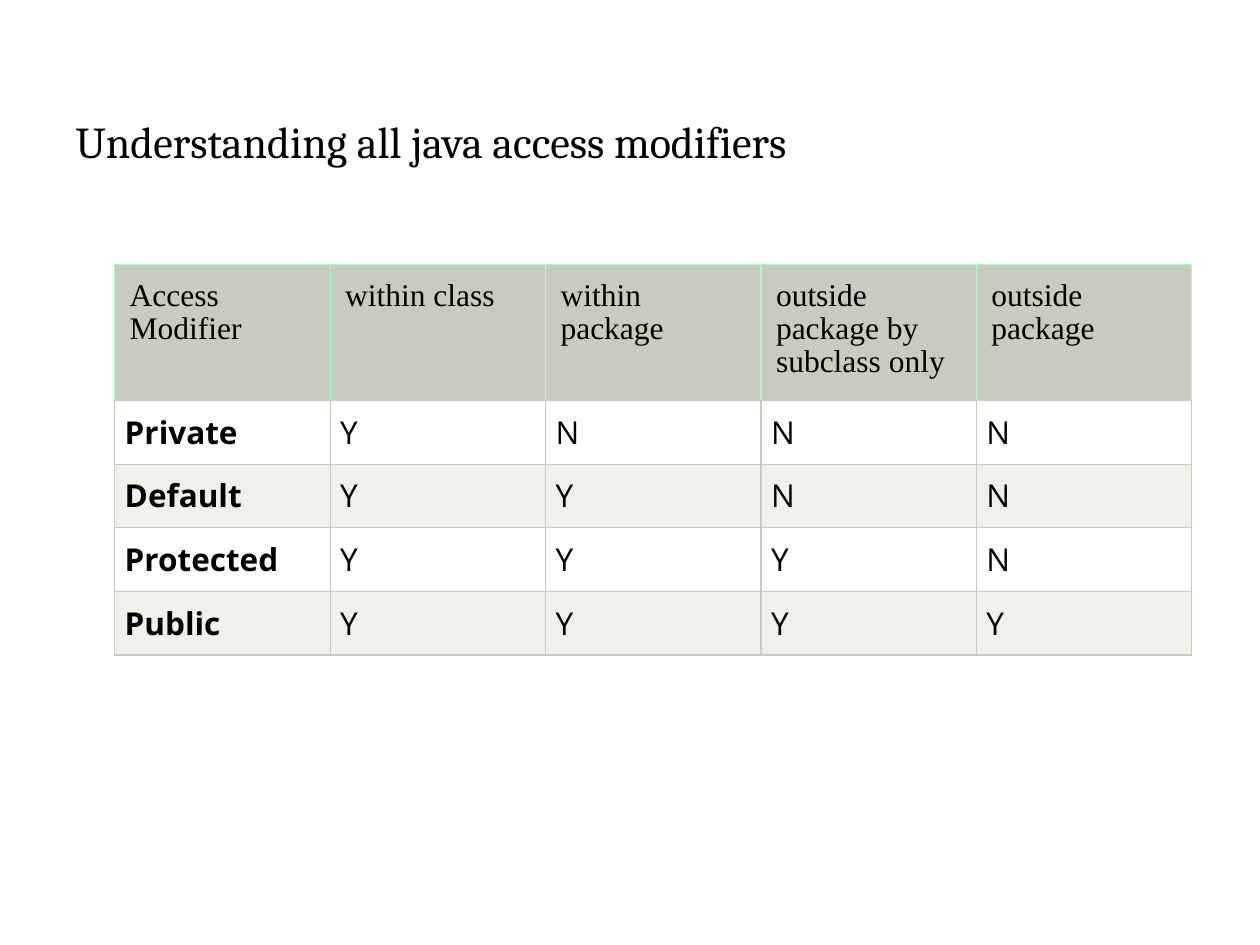
import pptx
import pptx.util
import pptx.dml.color
import pptx.enum.text
import pptx.oxml

RGBColor = pptx.dml.color.RGBColor
BLACK = RGBColor(0x00, 0x00, 0x00)
WHITE = RGBColor(0xFF, 0xFF, 0xFF)
SAGE = RGBColor(0xC7, 0xCC, 0xBE)
PALE_SAGE = RGBColor(0xEF, 0xF1, 0xEB)
MINT = RGBColor(0xB0, 0xFA, 0xC7)
ALIGN = pptx.enum.text.PP_ALIGN
ANCHOR = pptx.enum.text.MSO_ANCHOR
NAMESPACE = "http://schemas.openxmlformats.org/drawingml/2006/main"

HEADINGS = ["Access Modifier", "within class", "within package",
            "outside package by subclass only", "outside package"]
MODIFIERS = {"Private": "YNNN", "Default": "YYNN",
             "Protected": "YYYN", "Public": "YYYY"}


def write_text(frame, text, font, size, bold=False, align=ALIGN.LEFT, spacing=1.0):
    paragraph = frame.paragraphs[0]
    paragraph.alignment = align
    paragraph.line_spacing = spacing
    run = paragraph.add_run()
    run.text = text
    run.font.name = font
    run.font.size = pptx.util.Pt(size)
    run.font.bold = bold
    run.font.color.rgb = BLACK


def set_borders(cell, colors):
    properties = cell._tc.get_or_add_tcPr()
    for position, (side, color) in enumerate(zip("LRTB", colors)):
        properties.insert(position, pptx.oxml.parse_xml(
            f'<a:ln{side} xmlns:a="{NAMESPACE}" w="{pptx.util.Pt(0.75)}">'
            f'<a:solidFill><a:srgbClr val="{color}"/></a:solidFill></a:ln{side}>'))


def format_cell(cell, text, fill, inset, borders, **text_format):
    cell.fill.solid()
    cell.fill.fore_color.rgb = fill
    cell.margin_left = cell.margin_right = pptx.util.Inches(inset)
    cell.margin_top = cell.margin_bottom = pptx.util.Inches(inset)
    write_text(cell.text_frame, text, size=18, **text_format)
    set_borders(cell, borders)


def build_title(slide, left, top, width, height):
    title = slide.shapes.title
    title.left, title.top, title.width, title.height = map(
        pptx.util.Inches, (left, top, width, height))
    frame = title.text_frame
    frame.word_wrap = True
    frame.vertical_anchor = ANCHOR.TOP
    frame.margin_top = pptx.util.Inches(0.08)
    write_text(frame, "Understanding all java access modifiers", "Cambria", 25.2)


def build_table(slide, left, top, width, height, header_height):
    rows, columns = len(MODIFIERS) + 1, len(HEADINGS)
    table = slide.shapes.add_table(
        rows, columns, *map(pptx.util.Inches, (left, top, width, height))).table
    row_height = (height - header_height) / len(MODIFIERS)
    for index, row in enumerate(table.rows):
        row.height = pptx.util.Inches(row_height if index else header_height)
    for index, heading in enumerate(HEADINGS):
        format_cell(table.cell(0, index), heading, SAGE, 0.12,
                    [MINT, MINT, MINT, SAGE], font="Times New Roman", spacing=0.95)
    for row, (modifier, access) in enumerate(MODIFIERS.items(), 1):
        for column, text in enumerate([modifier, *access]):
            format_cell(table.cell(row, column), text,
                        WHITE if row % 2 else PALE_SAGE, 0.08, [SAGE] * 4,
                        font="Open Sans", bold=column == 0, align=ALIGN.JUSTIFY)


presentation = pptx.Presentation()
presentation.slide_width = pptx.util.Inches(10)
presentation.slide_height = pptx.util.Inches(7.5)
slide = presentation.slides.add_slide(presentation.slide_layouts[5])
build_title(slide, 0.5, 0.83, 9, 1)
build_table(slide, 0.91, 2.1, 8.55, 3.1, 1.08)
presentation.save("out.pptx")
